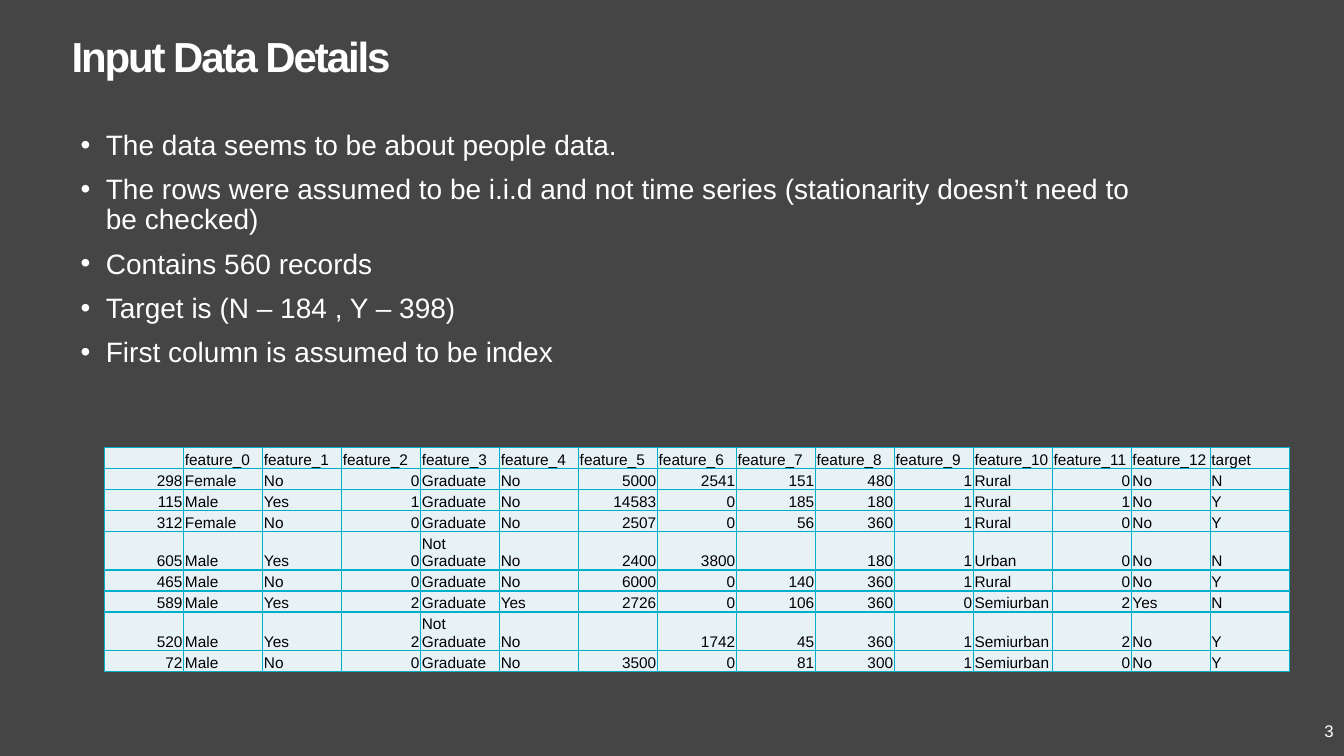
from typing import NamedTuple

from lxml.etree import SubElement
from pptx import Presentation
from pptx.dml.color import RGBColor
from pptx.enum.text import MSO_ANCHOR, PP_ALIGN
from pptx.oxml.ns import qn
from pptx.util import Cm, Pt

FONT = "Arial"
BACKGROUND, WHITE, BLACK = "454545", "FFFFFF", "000000"
CELL_FILL, BORDER = "E7F2F6", "00B0CA"
CELL_SIZE = 11


class Box(NamedTuple):
    left: float
    top: float
    width: float
    height: float


class TextStyle(NamedTuple):
    size: float
    color: str
    bold: bool = False
    align: PP_ALIGN = PP_ALIGN.LEFT


TITLE_BOX = Box(1.55, 0.64, 30.91, 3.18)
BODY_BOX = Box(1.78, 3.18, 27.53, 15.6)
NUMBER_BOX = Box(26.24, 17.91, 7.62, 1.02)
TABLE_LEFT, TABLE_TOP = 2.64, 11.28
COLUMN_WIDTH, ROW_HEIGHT = 1.99, 0.53

BULLETS = [
    "The data seems to be about people data.",
    "The rows were assumed to be i.i.d and not time series "
    "(stationarity doesn’t need to be checked)",
    "Contains 560 records",
    "Target is (N – 184 , Y – 398)",
    "First column is assumed to be index",
]

HEADER = ["", *(f"feature_{index}" for index in range(13)), "target"]
RECORDS = """\
298,Female,No,0,Graduate,No,5000,2541,151,480,1,Rural,0,No,N
115,Male,Yes,1,Graduate,No,14583,0,185,180,1,Rural,1,No,Y
312,Female,No,0,Graduate,No,2507,0,56,360,1,Rural,0,No,Y
605,Male,Yes,0,Not Graduate,No,2400,3800,,180,1,Urban,0,No,N
465,Male,No,0,Graduate,No,6000,0,140,360,1,Rural,0,No,Y
589,Male,Yes,2,Graduate,Yes,2726,0,106,360,0,Semiurban,2,Yes,N
520,Male,Yes,2,Not Graduate,No,,1742,45,360,1,Semiurban,2,No,Y
72,Male,No,0,Graduate,No,3500,0,81,300,1,Semiurban,0,No,Y"""


def color(value: str) -> RGBColor:
    return RGBColor.from_string(value)


def place(shape, box: Box) -> None:
    shape.left, shape.top, shape.width, shape.height = map(Cm, box)


def format_paragraph(paragraph, style: TextStyle) -> None:
    paragraph.alignment = style.align
    for run in paragraph.runs:
        run.font.name = FONT
        run.font.size = Pt(style.size)
        run.font.bold = style.bold
        run.font.color.rgb = color(style.color)


def add_text_box(slide, box: Box, lines: list[str], style: TextStyle):
    text_frame = slide.shapes.add_textbox(*map(Cm, box)).text_frame
    text_frame.word_wrap = True
    text_frame.text = "\n".join(lines)
    for paragraph in text_frame.paragraphs:
        format_paragraph(paragraph, style)
    return text_frame


def add_bullet(paragraph) -> None:
    paragraph.line_spacing = 0.9
    paragraph.space_before = Pt(10)
    properties = paragraph._p.get_or_add_pPr()
    indent = Cm(0.64)
    properties.set("marL", str(indent))
    properties.set("indent", str(-indent))
    SubElement(properties, qn("a:buFont"), typeface=FONT)
    SubElement(properties, qn("a:buChar"), char="•")


def add_borders(cell) -> None:
    properties = cell._tc.get_or_add_tcPr()
    for side in ("lnL", "lnR", "lnT", "lnB"):
        line = SubElement(properties, qn(f"a:{side}"), w=str(Pt(1)))
        fill = SubElement(line, qn("a:solidFill"))
        SubElement(fill, qn("a:srgbClr"), val=BORDER)


def fill_cell(cell, text: str) -> None:
    add_borders(cell)
    cell.fill.solid()
    cell.fill.fore_color.rgb = color(CELL_FILL)
    cell.margin_left = cell.margin_right = cell.margin_top = Cm(0.03)
    cell.margin_bottom = 0
    cell.vertical_anchor = MSO_ANCHOR.BOTTOM
    paragraph = cell.text_frame.paragraphs[0]
    if text:
        paragraph.text = text
    else:  # keeps a blank cell from stretching its row
        SubElement(paragraph._p, qn("a:endParaRPr"), sz=str(CELL_SIZE * 100))
    align = PP_ALIGN.RIGHT if text.isdigit() else PP_ALIGN.LEFT
    format_paragraph(paragraph, TextStyle(CELL_SIZE, BLACK, align=align))


def add_data_table(slide, rows: list[list[str]]) -> None:
    row_count, column_count = len(rows), len(rows[0])
    table = slide.shapes.add_table(
        row_count, column_count, Cm(TABLE_LEFT), Cm(TABLE_TOP),
        Cm(COLUMN_WIDTH * column_count), Cm(ROW_HEIGHT * row_count),
    ).table
    table.first_row = table.horz_banding = False
    for column in table.columns:
        column.width = Cm(COLUMN_WIDTH)
    for row, values in zip(table.rows, rows):
        row.height = Cm(ROW_HEIGHT)
        for cell, value in zip(row.cells, values):
            fill_cell(cell, value)


def main() -> None:
    presentation = Presentation()
    presentation.slide_width, presentation.slide_height = Cm(33.87), Cm(19.05)
    slide = presentation.slides.add_slide(presentation.slide_layouts[5])
    slide.background.fill.solid()
    slide.background.fill.fore_color.rgb = color(BACKGROUND)

    # Title
    title = slide.shapes.title
    place(title, TITLE_BOX)
    title.text_frame.text = "Input Data Details"
    title.text_frame.vertical_anchor = MSO_ANCHOR.TOP
    title_paragraph = title.text_frame.paragraphs[0]
    format_paragraph(title_paragraph, TextStyle(30, WHITE, bold=True))
    title_paragraph.runs[0]._r.get_or_add_rPr().set("spc", "-150")

    # Bullets
    body = add_text_box(slide, BODY_BOX, BULLETS, TextStyle(20, WHITE))
    for paragraph in body.paragraphs:
        add_bullet(paragraph)

    # Slide number
    number_style = TextStyle(12, WHITE, align=PP_ALIGN.RIGHT)
    number = add_text_box(slide, NUMBER_BOX, ["3"], number_style)
    number.vertical_anchor = MSO_ANCHOR.MIDDLE

    # Sample records
    records = [line.split(",") for line in RECORDS.splitlines()]
    add_data_table(slide, [HEADER, *records])

    presentation.save("out.pptx")


if __name__ == "__main__":
    main()
